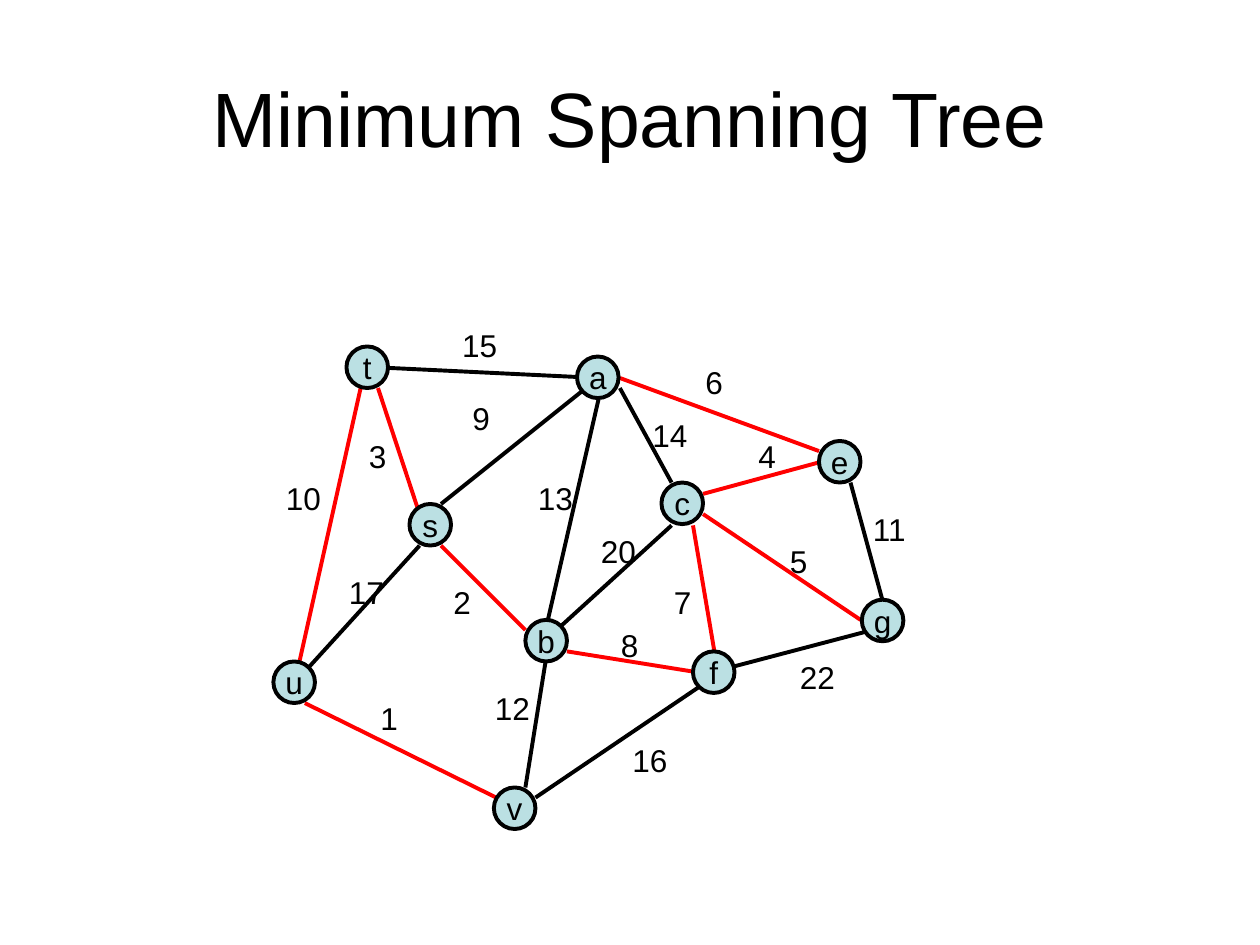
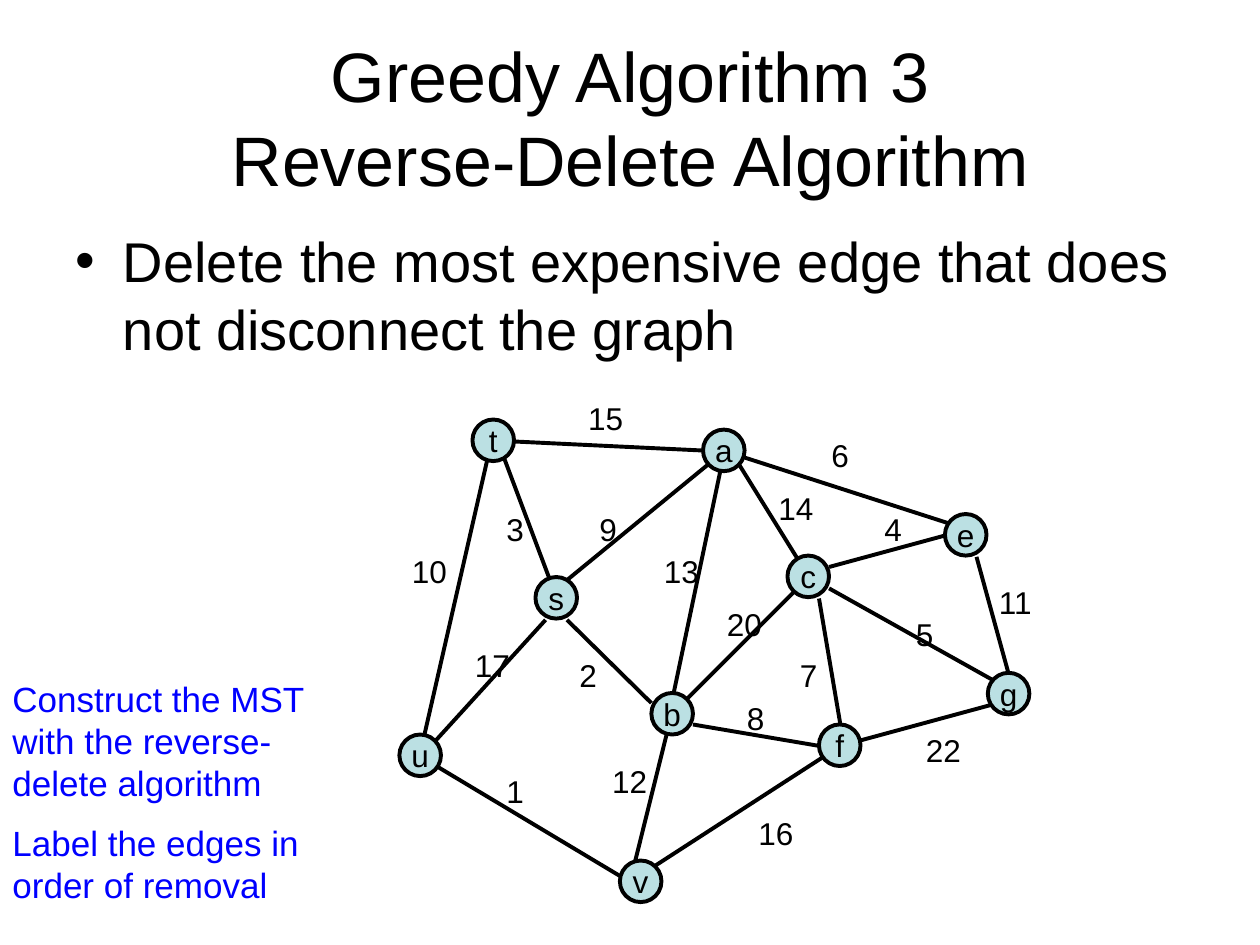
from lxml import etree
from pptx import Presentation
from pptx import util as u
from pptx.dml.color import RGBColor
from pptx.enum import shapes, text
from pptx.oxml.ns import qn

BLACK = RGBColor(0x00, 0x00, 0x00)
RED = RGBColor(0xFF, 0x00, 0x00)
BLUE = RGBColor(0x00, 0x00, 0xFF)
PALE_TEAL = RGBColor(0xBB, 0xE0, 0xE3)

FONT = "Arial"
LINE_WIDTH = u.Pt(2.25)
NODE_SIZE = 0.33
TITLE_ONLY, TITLE_AND_CONTENT = 5, 1

NODES = {
    "a": (4.58, 2.83), "b": (4.17, 4.92), "c": (5.25, 3.83), "e": (6.5, 3.5),
    "f": (5.5, 5.17), "g": (6.84, 4.76), "s": (3.25, 4), "t": (2.75, 2.75),
    "u": (2.17, 5.25), "v": (3.92, 6.25),
}
WEIGHT_LABELS = {
    1: (2.92, 5.5), 2: (3.5, 4.58), 3: (2.83, 3.42), 4: (5.92, 3.42),
    5: (6.17, 4.25), 6: (5.5, 2.83), 7: (5.25, 4.58), 8: (4.83, 4.92),
    9: (3.65, 3.12), 10: (2.17, 3.75), 11: (6.83, 4), 12: (3.83, 5.42),
    13: (4.17, 3.75), 14: (5.08, 3.25), 15: (3.57, 2.54), 16: (4.92, 5.83),
    17: (2.67, 4.5), 20: (4.67, 4.17), 22: (6.25, 5.17),
}
TREE_WEIGHTS = {1, 2, 3, 4, 5, 6, 7, 8, 10}
TREE_EDGES = {
    1: (2.42, 5.58, 4.12, 6.42), 2: (3.5, 4.33, 4.17, 5),
    3: (3, 3.08, 3.33, 4.08), 4: (5.58, 3.92, 6.5, 3.67),
    5: (5.58, 4.08, 6.83, 4.92), 6: (4.92, 3, 6.5, 3.58),
    7: (5.5, 4.17, 5.67, 5.17), 8: (4.5, 5.17, 5.5, 5.33),
    9: (3.5, 4, 4.75, 3), 10: (2.88, 3, 2.33, 5.46),
    11: (6.75, 3.83, 7, 4.75), 12: (4.17, 6.25, 4.33, 5.25),
    13: (4.75, 3.17, 4.33, 5), 14: (4.92, 3.08, 5.33, 3.83),
    15: (3.08, 2.92, 4.75, 3), 16: (4.25, 6.33, 5.67, 5.37),
    17: (2.42, 5.33, 3.33, 4.33), 20: (5.33, 4.17, 4.33, 5.08),
    22: (5.67, 5.33, 7, 4.98),
}
EXERCISE_EDGES = {
    1: (3.33, 6, 5, 7), 2: (4.5, 4.92, 5.17, 5.58),
    3: (3.92, 3.42, 4.42, 4.75), 4: (6.58, 4.5, 7.5, 4.25),
    5: (6.58, 4.67, 7.92, 5.42), 6: (5.75, 3.58, 7.58, 4.17),
    7: (6.5, 4.75, 6.67, 5.75), 8: (5.5, 5.75, 6.5, 5.92),
    9: (4.42, 4.67, 5.75, 3.58), 10: (3.92, 3.42, 3.33, 6),
    11: (7.75, 4.42, 8, 5.33), 12: (5, 7, 5.33, 5.67),
    13: (5.75, 3.58, 5.33, 5.58), 14: (5.75, 3.5, 6.42, 4.58),
    15: (4, 3.5, 5.67, 3.58), 16: (5, 7, 6.67, 5.92),
    17: (3.42, 5.92, 4.33, 4.92), 20: (6.42, 4.58, 5.33, 5.67),
    22: (6.67, 5.92, 7.92, 5.58),
}
EXERCISE_SHIFT = (1, 0.58)
EXERCISE_LABELS = {3: (3.92, 4), 9: (4.66, 4), 12: (4.76, 6)}


def shifted(places, shift):
    return {key: (x + shift[0], y + shift[1]) for key, (x, y) in places.items()}


def write(frame, *lines, size=18, color=BLACK, align=None, before=None):
    for index, line in enumerate(lines):
        para = frame.paragraphs[0] if index == 0 else frame.add_paragraph()
        para.text = line
        if align is not None:
            para.alignment = align
        if before is not None:
            para.space_before = u.Pt(before)
        for span in para.runs:
            span.font.name = FONT
            span.font.size = u.Pt(size)
            span.font.color.rgb = color


class GraphDeck:
    def __init__(self):
        self.deck = Presentation()
        self.deck.slide_width = u.Inches(10)
        self.deck.slide_height = u.Inches(7.5)
        self.page = None

    def place(self, shape, left, top, width, height):
        shape.left, shape.top = u.Inches(left), u.Inches(top)
        shape.width, shape.height = u.Inches(width), u.Inches(height)

    def add_page(self, title, size, layout=TITLE_ONLY):
        self.page = self.deck.slides.add_slide(self.deck.slide_layouts[layout])
        box = self.page.shapes.title
        self.place(box, 0.5, 0.3, 9, 1.25)
        box.text_frame.auto_size = text.MSO_AUTO_SIZE.NONE
        box.text_frame.vertical_anchor = text.MSO_ANCHOR.MIDDLE
        write(box.text_frame, title, size=size, align=text.PP_ALIGN.CENTER)

    def body(self, line):
        box = self.page.placeholders[1]
        self.place(box, 0.5, 1.75, 9, 4.95)
        box.text_frame.auto_size = text.MSO_AUTO_SIZE.NONE
        write(box.text_frame, line, size=32)

    def text_box(self, left, top, width, height, *lines, wrap=True, **style):
        box = self.page.shapes.add_textbox(
            u.Inches(left), u.Inches(top), u.Inches(width), u.Inches(height))
        box.text_frame.word_wrap = wrap
        box.text_frame.auto_size = text.MSO_AUTO_SIZE.SHAPE_TO_FIT_TEXT
        write(box.text_frame, *lines, **style)

    def edge(self, ends, color):
        line = self.page.shapes.add_connector(
            shapes.MSO_CONNECTOR.STRAIGHT, *map(u.Inches, ends))
        line.line.color.rgb = color
        line.line.width = LINE_WIDTH
        etree.SubElement(line.element.spPr, qn("a:effectLst"))

    def weight_label(self, weight, left, top):
        width = 0.34 if weight < 10 else 0.48
        self.text_box(left, top, width, 0.4, str(weight), wrap=False)

    def node(self, name, left, top):
        circle = self.page.shapes.add_shape(
            shapes.MSO_SHAPE.OVAL, u.Inches(left), u.Inches(top),
            u.Inches(NODE_SIZE), u.Inches(NODE_SIZE))
        circle.shadow.inherit = False
        circle.fill.solid()
        circle.fill.fore_color.rgb = PALE_TEAL
        circle.line.color.rgb = BLACK
        circle.line.width = LINE_WIDTH
        circle.text_frame.word_wrap = False
        circle.text_frame.vertical_anchor = text.MSO_ANCHOR.MIDDLE
        write(circle.text_frame, name, align=text.PP_ALIGN.CENTER)

    def graph(self, nodes, edges, labels, tree=()):
        for weight, ends in edges.items():
            self.edge(ends, RED if weight in tree else BLACK)
        for weight, place in labels.items():
            self.weight_label(weight, *place)
        for name, place in nodes.items():
            self.node(name, *place)


def main():
    show = GraphDeck()

    show.add_page("Minimum Spanning Tree", 44)
    show.graph(NODES, TREE_EDGES, WEIGHT_LABELS, TREE_WEIGHTS)

    show.add_page("Greedy Algorithm 3\vReverse-Delete Algorithm", 40, TITLE_AND_CONTENT)
    show.body("Delete the most expensive edge that does not disconnect the graph")
    show.graph(shifted(NODES, EXERCISE_SHIFT), EXERCISE_EDGES,
               shifted(WEIGHT_LABELS, EXERCISE_SHIFT) | EXERCISE_LABELS)
    show.text_box(0, 5.33, 2.58, 1.93,
                  "Construct the MST with the reverse-delete algorithm",
                  "Label the edges in order of removal",
                  size=20, color=BLUE, before=10)

    show.deck.save("out.pptx")


if __name__ == "__main__":
    main()
